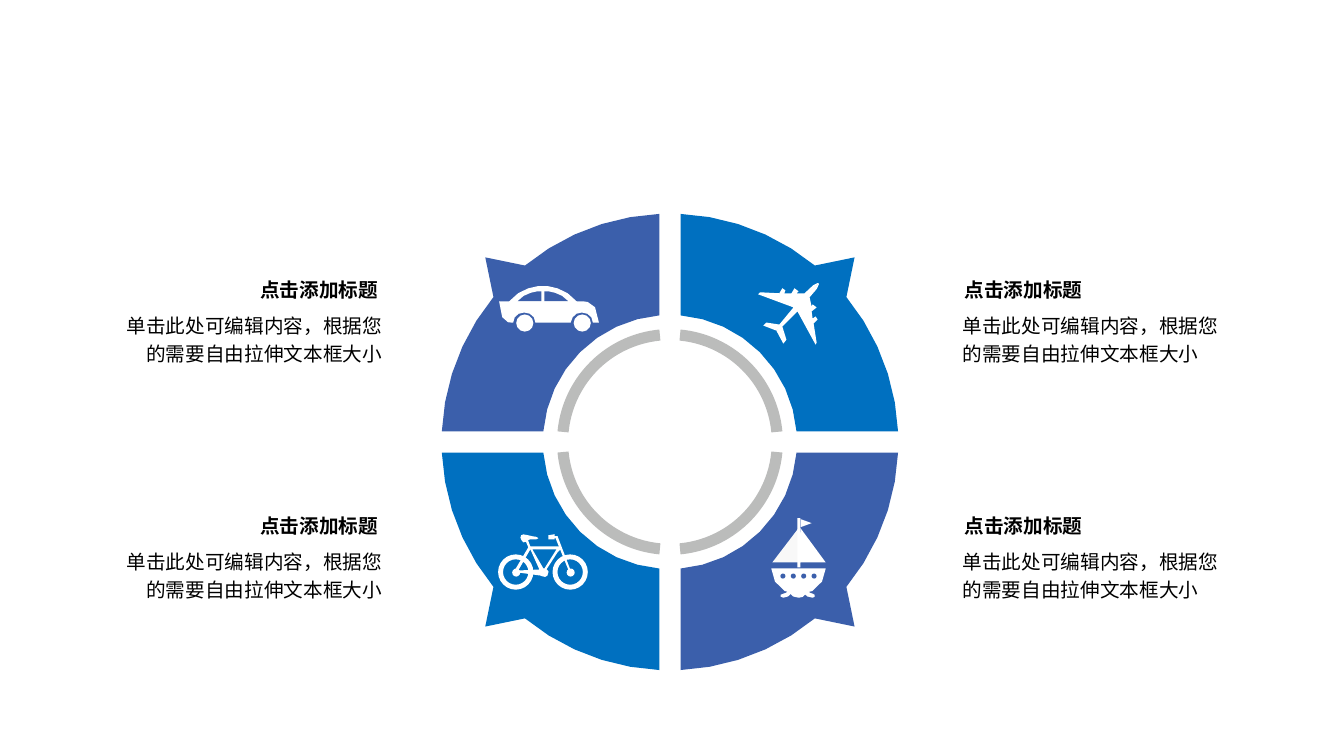
import math

from lxml import etree
from pptx import Presentation
from pptx import util as u
from pptx.dml.color import RGBColor
from pptx.enum import shapes, text
from pptx.oxml import ns

PX = 9144  # EMU per px, 100 px to the inch
INDIGO = RGBColor(0x3B, 0x5F, 0xAB)
BLUE = RGBColor(0x00, 0x70, 0xC0)
GREY = RGBColor(0xBB, 0xBC, 0xBB)
WHITE = RGBColor(0xFF, 0xFF, 0xFF)
PALE = RGBColor(0xF8, 0xF8, 0xF8)
BLACK = RGBColor(0x00, 0x00, 0x00)
TITLE = "点击添加标题"
BODY = "单击此处可编辑内容，根据您的需要自由拉伸文本框大小"


# Drawing helpers
def px(n):
    return u.Emu(round(n * PX))


def paint(sp, fill):
    sp.shadow.inherit = False
    sp.fill.solid()
    sp.fill.fore_color.rgb = fill
    sp.line.fill.background()
    return sp


def preset(s, kind, x, y, w, h, fill=WHITE):
    return paint(s.shapes.add_shape(kind, px(x), px(y), px(w), px(h)), fill)


def trace(steps, n=3):
    """Points of a path: pairs are corners, sixes are Bezier curves."""
    points = []
    for step in steps:
        if len(step) == 2:
            points.append(step)
            continue
        (x0, y0), (x1, y1, x2, y2, x3, y3) = points[-1], step
        for i in range(1, n + 1):
            t = i / n
            a, b, c, d = (1 - t) ** 3, 3 * t * (1 - t) ** 2, 3 * t * t * (1 - t), t ** 3
            points.append((a * x0 + b * x1 + c * x2 + d * x3,
                           a * y0 + b * y1 + c * y2 + d * y3))
    return points


def arc(r, start, end, n):
    angles = [start + (end - start) * i / n for i in range(n + 1)]
    return [(r * math.cos(a), r * math.sin(a)) for a in angles]


def outline(s, x, y, *contours, fill=WHITE):
    """One filled shape; contours after the first are holes."""
    builder = None
    for contour in contours:
        first, *rest = [(px(x + cx), px(y + cy)) for cx, cy in trace(contour)]
        if builder is None:
            builder = s.shapes.build_freeform(*first, scale=1.0)
        else:
            builder.move_to(*first)
        builder.add_line_segments(rest, close=True)
    return paint(builder.convert_to_shape(), fill)


# Four-part ring with pointers
def ring(s, x, y, size, gap):
    cx, cy, outer = x + size / 2, y + size / 2, size / 2
    inner, tip, rim, rim_width = 126, 259, 112, 11
    diagonal, spread = math.pi / 4, math.radians(5.6)
    cut_out, cut_in = [math.asin(gap / 2 / r) for r in (outer, inner)]
    cut_rim = math.degrees(math.asin(gap / 2 / rim))

    for quarter in range(4):
        sp = preset(s, shapes.MSO_SHAPE.BLOCK_ARC, cx - rim, cy - rim, 2 * rim, 2 * rim, GREY)
        start, end = quarter * 90 + cut_rim, quarter * 90 + 90 - cut_rim
        # Angles are in 60000ths of a degree, adjustments in 100000ths
        for i, value in enumerate((start * 0.6, end * 0.6, rim_width / (2 * rim))):
            sp.adjustments[i] = value

    sector = (arc(outer, cut_out, diagonal - spread, 5)
              + [(tip * math.cos(diagonal), tip * math.sin(diagonal))]
              + arc(outer, diagonal + spread, math.pi / 2 - cut_out, 5)
              + arc(inner, math.pi / 2 - cut_in, cut_in, 8))
    for sx, sy, fill in [(-1, -1, INDIGO), (-1, 1, BLUE), (1, -1, BLUE), (1, 1, INDIGO)]:
        outline(s, cx, cy, [(sx * a, sy * b) for a, b in sector], fill=fill)


# Icons
def car(s, x, y):
    outline(s, x, y, [(0, 15), (84, 15), (84, 15, 99, 14, 99, 36), (93, 36),
                      (93, 30, 88, 26, 82, 26), (76, 26, 72, 30, 71, 36), (36, 36),
                      (36, 30, 31, 26, 25, 26), (19, 26, 14, 30, 14, 36), (12, 36),
                      (12, 36, 0, 38, 0, 15)])
    outline(s, x, y,
            [(10, 15), (18, 5, 30, 1, 38, 0), (49, 0), (57, 1, 69, 5, 77, 15),
             (80, 20), (7, 20)],
            [(49, 5), (38, 5), (32, 6, 24, 8, 18, 15), (69, 15), (63, 8, 55, 6, 49, 5)])
    preset(s, shapes.MSO_SHAPE.RECTANGLE, x + 42, y + 1, 3, 16)
    for wheel in (17, 74):
        preset(s, shapes.MSO_SHAPE.OVAL, x + wheel, y + 28, 17, 17)


def plane(s, x, y):
    outline(s, x, y, [(51, 16), (53, 25), (54, 23), (58, 26), (53, 30), (54, 37), (57, 35),
                      (59, 38), (55, 42), (58, 61), (57, 63), (39, 30), (24, 45), (28, 58),
                      (25, 62), (18, 49), (43, 18), (60, 2), (60, 2, 62, 5, 51, 16)])
    outline(s, x, y, [(46, 12), (38, 12), (40, 10), (36, 7), (33, 12), (26, 12), (27, 9),
                      (24, 7), (21, 12), (2, 11), (0, 13), (35, 26), (21, 43), (8, 41),
                      (5, 44), (18, 49), (60, 2), (60, 2, 57, 0, 46, 12)])


def bicycle(s, x, y):
    for wheel in (0, 54):
        tyre = preset(s, shapes.MSO_SHAPE.DONUT, x + wheel, y + 21, 35, 35)
        tyre.adjustments[0] = 0.14
        preset(s, shapes.MSO_SHAPE.OVAL, x + wheel + 14, y + 35, 8, 8)
    frame = [(61, 13), (32, 13), (29, 5), (27, 7), (30, 14), (17, 36), (20, 39), (42, 42),
             (42, 42, 48, 45, 49, 42), (52, 37, 48, 36, 48, 36), (59, 19), (62, 16)]
    outline(s, x, y, frame, [(20, 37), (32, 16), (41, 36)],
            [(46, 35), (45, 35), (34, 16), (58, 16)])
    fork = [(72, 37), (59, 3), (51, 3), (51, 5), (57, 5), (70, 37)]
    saddle = [(40, 5), (40, 5, 39, 3, 34, 3), (29, 2, 24, 0, 23, 2), (21, 4, 23, 7, 25, 9),
              (27, 10, 30, 6, 32, 6), (33, 6, 39, 7, 40, 5)]
    grip = [(56, 6), (56, 1), (50, 2), (50, 6)]
    for part in (fork, saddle, grip):
        outline(s, x, y, part)


def boat(s, x, y):
    outline(s, x, y, [(0, 50), (0, 64, 12, 76, 27, 76), (42, 76, 54, 64, 54, 50)])
    for i in range(4):
        preset(s, shapes.MSO_SHAPE.OVAL, x + 9 + 10.3 * i, y + 55, 5, 5, INDIGO)
    outline(s, x, y, [(27, 10), (1, 44), (29, 44)], fill=PALE)
    outline(s, x, y, [(29, 10), (54, 44), (27, 44)])
    preset(s, shapes.MSO_SHAPE.RECTANGLE, x + 26, y, 3, 49)
    waves = [
        [(17, 70), (17, 72, 15, 75, 12, 75), (8, 75, 8, 79, 12, 79),
         (17, 79, 21, 75, 22, 70), (22, 67, 17, 67, 17, 70)],
        [(31, 70), (31, 76, 22, 76, 22, 70), (21, 67, 17, 67, 17, 70),
         (17, 75, 21, 79, 27, 79), (31, 80, 36, 75, 36, 70), (36, 67, 31, 67, 31, 70)],
        [(41, 75), (38, 75, 36, 72, 36, 70), (36, 67, 31, 67, 31, 70),
         (31, 75, 35, 79, 41, 79), (44, 79, 44, 75, 41, 75)],
    ]
    flag = [(29, 1), (40, 5), (29, 9)]
    for part in waves + [flag]:
        outline(s, x, y, part)


# Captions
def write(s, x, y, w, h, words, align, spacing, **font):
    tf = s.shapes.add_textbox(px(x), px(y), px(w), px(h)).text_frame
    tf.word_wrap = True
    tf.auto_size = text.MSO_AUTO_SIZE.SHAPE_TO_FIT_TEXT
    p = tf.paragraphs[0]
    p.alignment, p.line_spacing = align, spacing
    r = p.add_run()
    r.text = words
    for name, value in font.items():
        setattr(r.font, name, value)
    r.font.color.rgb = BLACK
    ea = etree.SubElement(r.font._element, ns.qn("a:ea"))
    ea.set("typeface", font["name"])


def caption(s, x, y, w, align):
    title_w = 153
    title_x = x + 2 if align == text.PP_ALIGN.LEFT else x + w - title_w - 4
    write(s, title_x, y, title_w, 34, TITLE, align, None,
          name="Noto Sans CJK SC", size=u.Pt(14), bold=True)
    write(s, x, y + 31, w, 64, BODY, align, 1.2, name="Arial", size=u.Pt(14))


def main():
    prs = Presentation()
    prs.slide_width, prs.slide_height = px(1333), px(750)
    s = prs.slides.add_slide(prs.slide_layouts[6])
    ring(s, 438, 212, 453, 21)
    car(s, 495, 284)
    plane(s, 752, 279)
    bicycle(s, 494, 529)
    boat(s, 765, 514)
    for y in (271, 505):
        caption(s, 106, y, 283, text.PP_ALIGN.RIGHT)
        caption(s, 945, y, 283, text.PP_ALIGN.LEFT)
    prs.save("out.pptx")


if __name__ == "__main__":
    main()
